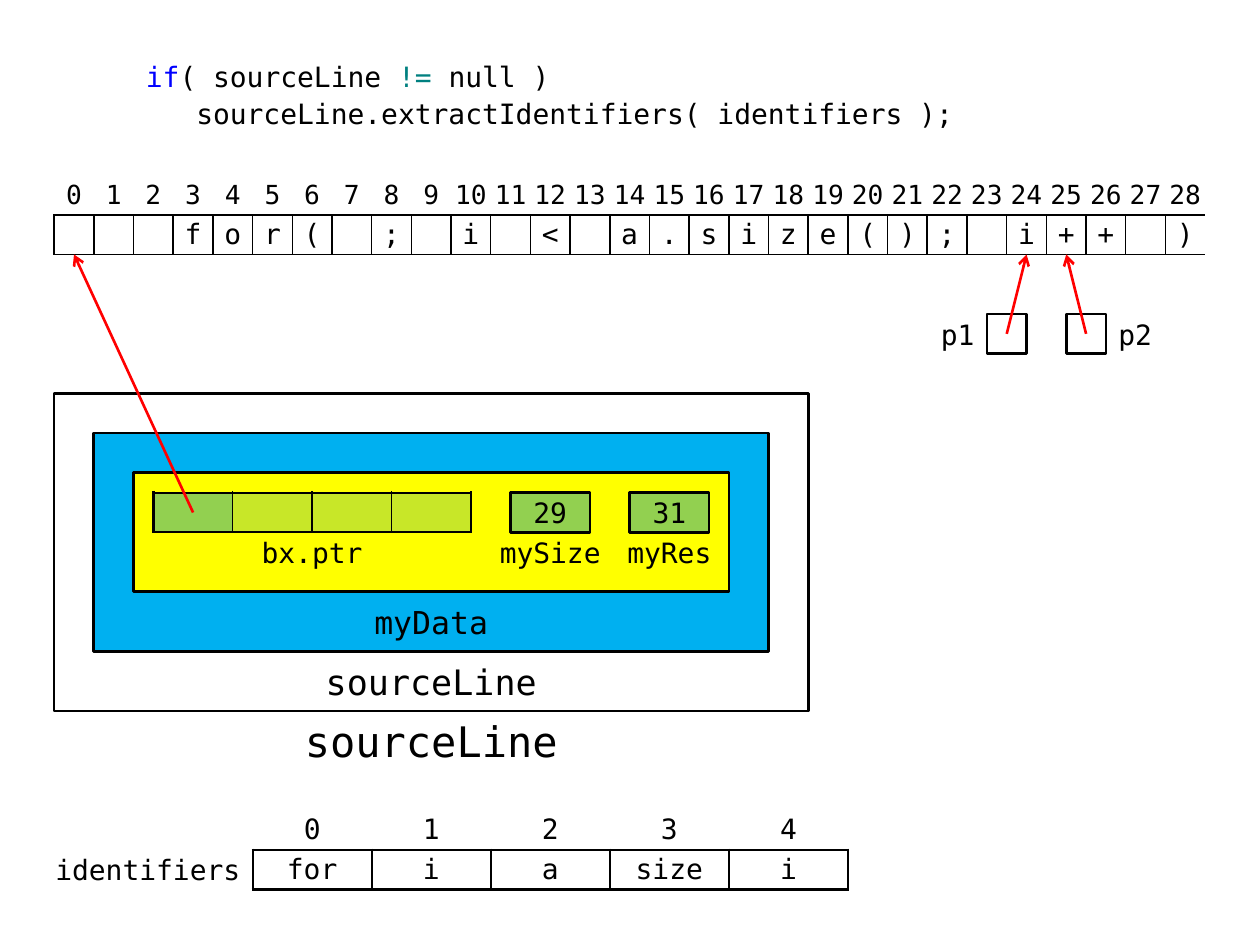
from lxml import etree
from pptx import Presentation
from pptx.dml.color import RGBColor
from pptx.enum.shapes import MSO_CONNECTOR, MSO_SHAPE
from pptx.enum.text import MSO_ANCHOR, PP_ALIGN
from pptx.oxml.ns import qn
from pptx.util import Inches, Pt

RECT, PROCESS = MSO_SHAPE.RECTANGLE, MSO_SHAPE.FLOWCHART_PROCESS
LINE = MSO_CONNECTOR.STRAIGHT
LEFT, CENTER, RIGHT = PP_ALIGN.LEFT, PP_ALIGN.CENTER, PP_ALIGN.RIGHT
TOP, MIDDLE = MSO_ANCHOR.TOP, MSO_ANCHOR.MIDDLE
FONT = "DejaVu Sans Mono"
BLACK, WHITE, RED, BLUE, TEAL = "000000", "FFFFFF", "FF0000", "0000FF", "008080"
SKY, YELLOW, GREEN = "00B0F0", "FFFF00", "92D050"
NO_STYLE = "{2D5ABB26-0587-4C30-8999-92F81FD0307C}"
UNIT = 0.63 / 2
SOURCE = "   for( ; i < a.size(); i++ )"


def color(hex_code):
    """Return the colour for a hex string."""
    return RGBColor.from_string(hex_code)


def units(*values):
    """Convert grid units to lengths."""
    return [Inches(v * UNIT) for v in values]


def style(p, size, align=LEFT):
    """Set the font and alignment of a paragraph."""
    p.alignment = align
    p.font.name, p.font.size = FONT, Pt(size)
    p.font.color.rgb = color(BLACK)


def box(s, x, y, w, h, fill, text="", kind=RECT):
    """Draw an outlined box with an optional centred value."""
    sp = s.shapes.add_shape(kind, *units(x, y, w, h))
    sp.shadow.inherit = False
    sp.fill.solid()
    sp.fill.fore_color.rgb = color(fill)
    sp.line.color.rgb = color(BLACK)
    sp.line.width = Pt(1.5)
    tf = sp.text_frame
    tf.margin_left = tf.margin_right = tf.margin_top = tf.margin_bottom = 0
    tf.vertical_anchor = MIDDLE
    tf.text = text
    style(tf.paragraphs[0], 16, CENTER)


def label(s, x, y, w, h, text, size=16, align=CENTER):
    """Place a name, inset only on the side it is aligned to."""
    tf = s.shapes.add_textbox(*units(x, y, w, h)).text_frame
    tf.word_wrap = True
    tf.vertical_anchor = MIDDLE
    tf.margin_left = Inches(0.1 if align == LEFT else 0)
    tf.margin_right = Inches(0.1 if align == RIGHT else 0)
    tf.margin_top = tf.margin_bottom = 0
    tf.text = text
    style(tf.paragraphs[0], size, align)


def arrow(s, x1, y1, x2, y2):
    """Draw a red pointer between two grid points."""
    cn = s.shapes.add_connector(LINE, *units(x1, y1, x2, y2))
    cn.line.color.rgb = color(RED)
    cn.line.width = Pt(1.5)
    etree.SubElement(cn.line._ln, qn("a:tailEnd"), type="arrow")
    etree.SubElement(cn._element.spPr, qn("a:effectLst"))


def borders(cell, **widths):
    """Give a cell black borders on the sides named L, R, T and B."""
    for side in "LRTB":
        if side in widths:
            ln = etree.SubElement(cell._tc.get_or_add_tcPr(), qn("a:ln" + side),
                                  w=str(Pt(widths[side])))
            fill = etree.SubElement(ln, qn("a:solidFill"))
            etree.SubElement(fill, qn("a:srgbClr"), val=BLACK)


def grid(s, x, y, col_width, rows, sizes):
    """Add an unstyled table of text rows, one unit high each."""
    n = len(rows[0])
    table = s.shapes.add_table(len(rows), n, *units(x, y, n * col_width, len(rows))).table
    table.first_row = table.horz_banding = False
    table._tbl.tblPr.find(qn("a:tableStyleId")).text = NO_STYLE
    for col in table.columns:
        col.width = Inches(col_width * UNIT)
    for i, (row, size) in enumerate(zip(rows, sizes)):
        table.rows[i].height = Inches(UNIT)
        for j, text in enumerate(row):
            cell = table.cell(i, j)
            cell.margin_left = cell.margin_right = 0
            cell.margin_top = cell.margin_bottom = 0
            cell.vertical_anchor = MIDDLE
            cell.text = text.strip()
            style(cell.text_frame.paragraphs[0], size, CENTER)
    return table


def indexed_array(s, x, y, col_width, values, index_size, width, closed=True):
    """Draw bordered values beneath their indexes."""
    indexes = [str(i) for i in range(len(values))]
    table = grid(s, x, y, col_width, [indexes, values], [index_size, 16])
    for j in range(len(values)):
        sides = dict(L=width, T=width, B=width)
        if closed or j < len(values) - 1:
            sides["R"] = width
        borders(table.cell(1, j), **sides)


def code(s, x, y):
    """Write the two lines of code."""
    tf = s.shapes.add_textbox(*units(x, y, 21, 2)).text_frame
    tf.word_wrap = True
    tf.vertical_anchor = TOP
    tf.margin_top = Inches(0.03)
    lines = [[("if", BLUE), ("( sourceLine ", BLACK), ("!=", TEAL), (" null )", BLACK)],
             [("sourceLine.extractIdentifiers( identifiers );", BLACK)]]
    for i, line in enumerate(lines):
        p = tf.add_paragraph() if i else tf.paragraphs[0]
        style(p, 16)
        p.space_before = Pt(2)
        for text, hex_code in line:
            r = p.add_run()
            r.text = text
            r.font.color.rgb = color(hex_code)
    p._p.get_or_add_pPr().set("marL", str(Inches(0.4)))


def pointer_cells(s, x, y):
    """Draw the four-part buffer with only its first part in use."""
    table = grid(s, x, y, 2, [[""] * 4], [16])
    for j in range(4):
        cell = table.cell(0, j)
        borders(cell, L=1 if j else 1.5, R=1 if j < 3 else 1.5, T=1.5, B=1.5)
        cell.fill.solid()
        cell.fill.fore_color.rgb = color(GREEN)
        if j:
            clr = cell._tc.tcPr.find(qn("a:solidFill"))[0]
            etree.SubElement(clr, qn("a:alpha"), val="50000")


def source_line(s, x, y):
    """Draw the nested string object and its pointer to the characters."""
    box(s, x, y, 19, 8, WHITE, kind=PROCESS)
    box(s, x + 1, y + 1, 17, 5.5, SKY, kind=PROCESS)
    for dy, w, text, size in [(8, 8, "sourceLine", 24), (6.5, 6, "sourceLine", 20),
                              (5, 4, "myData", 18)]:
        label(s, x + 9.5 - w / 2, y + dy, w, 1.5, text, size)
    box(s, x + 2, y + 2, 15, 3, YELLOW, kind=PROCESS)
    for dx, value, name in [(11, "29", "mySize"), (14, "31", "myRes")]:
        box(s, x + dx + 0.5, y + 2.5, 2, 1, GREEN, value)
        label(s, x + dx, y + 3.5, 3, 1, name)
    pointer_cells(s, x + 2.5, y + 2.5)
    label(s, x + 5, y + 3.5, 3, 1, "bx.ptr")
    arrow(s, x + 3.5, y + 3, x + 0.5, y - 3.5)


def pointers(s, x, y):
    """Draw p1 and p2 with arrows up to the characters."""
    label(s, x, y, 1.5, 1, "p1", align=RIGHT)
    label(s, x + 4.5, y, 1.5, 1, "p2", align=LEFT)
    for dx, tip in [(1.5, 2.5), (3.5, 3.5)]:
        box(s, x + dx, y, 1, 1, WHITE)
        arrow(s, x + dx + 0.5, y + 0.5, x + tip, y - 1.5)


def identifiers(s, x, y):
    """Draw the named list of identifiers."""
    label(s, x, y + 1, 5, 1, "identifiers", align=RIGHT)
    indexed_array(s, x + 5, y, 3, ["for", "i", "a", "size", "i"], 16, 1.5)


prs = Presentation()
prs.slide_width, prs.slide_height = Inches(10), Inches(7.5)
s = prs.slides.add_slide(prs.slide_layouts[6])
left, top = 0.43 / UNIT, 1.39 / UNIT
code(s, left + 2, top - 3)
indexed_array(s, left, top, 1, list(SOURCE), 15, 1, closed=False)
source_line(s, left, top + 5.5)
pointers(s, left + 22, top + 3.5)
identifiers(s, left, top + 16)
prs.save("out.pptx")
